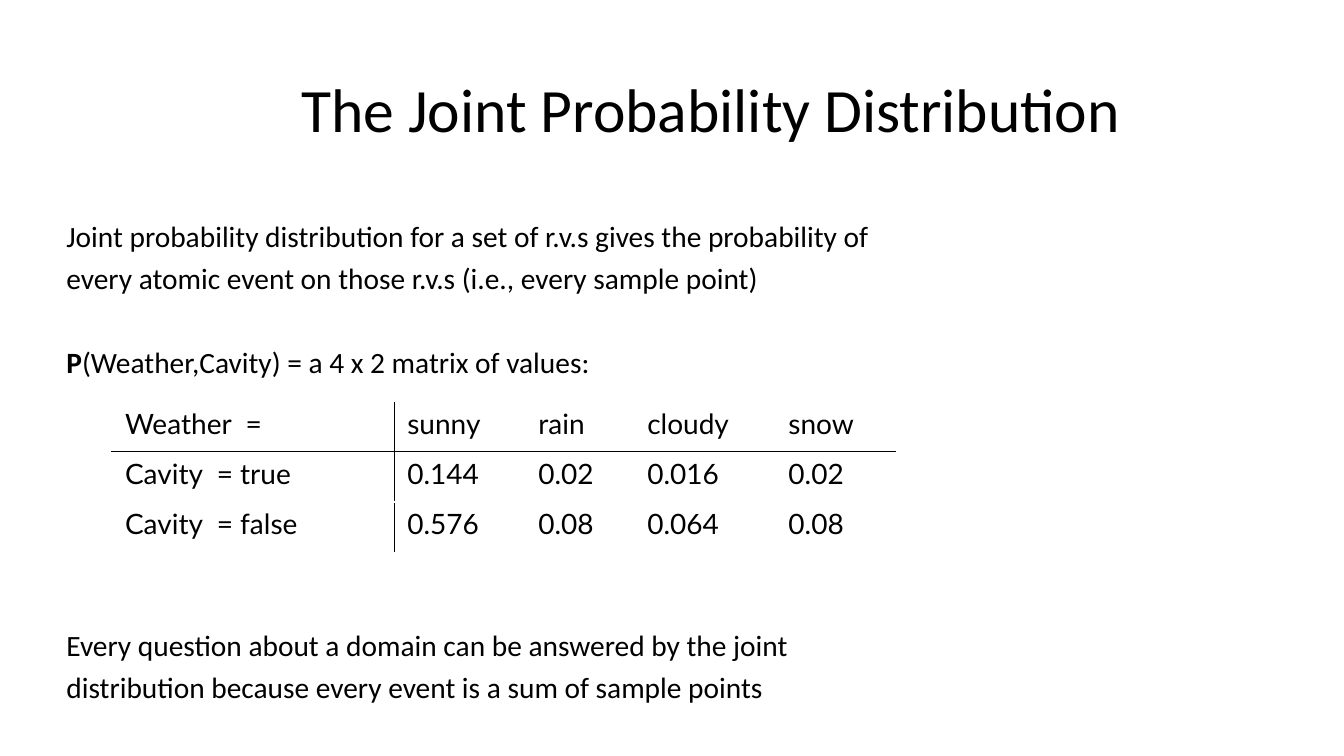
from lxml import etree
from pptx import Presentation
from pptx.dml.color import RGBColor
from pptx.enum.text import MSO_ANCHOR
from pptx.oxml.ns import qn
from pptx.util import Inches, Pt

MIDDLE = MSO_ANCHOR.MIDDLE
TOP = MSO_ANCHOR.TOP
BLACK = "000000"
COLS = [2.8, 1.3, 1.08, 1.4, 1.19]
ROWS = [0.49, 0.5, 0.5]
JOINT = [
    ["Weather  =", "sunny", "rain", "cloudy", "snow"],
    ["Cavity  = true", "0.144", "0.02", "0.016", "0.02"],
    ["Cavity  = false", "0.576", "0.08", "0.064", "0.08"],
]
INTRO = [
    "Joint probability distribution for a set of r.v.s gives the probability of",
    "every atomic event on those r.v.s (i.e., every sample point)",
]
CLOSE = [
    "Every question about a domain can be answered by the joint",
    "distribution because every event is a sum of sample points",
]


def color(code):
    return RGBColor.from_string(code)


def style(para, size, face="Calibri"):
    para.font.size = Pt(size)
    para.font.name = face
    para.font.color.rgb = color(BLACK)


def add_text(slide, box, lines, size, spacing, before=0, anchor=TOP):
    """Add one paragraph per line and return the text frame."""
    frame = slide.shapes.add_textbox(*map(Inches, box)).text_frame
    frame.word_wrap = True
    frame.vertical_anchor = anchor
    frame.text = "\n".join(lines)
    for para in frame.paragraphs:
        style(para, size)
        para.line_spacing = spacing
    for para in frame.paragraphs[1:]:
        para.space_before = Pt(before)
    return frame


def add_title(slide, box):
    add_text(slide, box, ["The Joint Probability Distribution"], 44, 0.9,
             anchor=MIDDLE)


def add_body(slide, box):
    """Place the definition at the top of the box and the conclusion at its foot."""
    left, top, width, height = box
    foot = 0.85
    frame = add_text(slide, (left, top, width, 1.7), INTRO + [""], 21, 0.8, 10)
    matrix = frame.paragraphs[-1]
    matrix.space_before = Pt(40)
    name = matrix.add_run()
    name.text = "P"
    name.font.bold = True
    matrix.add_run().text = "(Weather,Cavity) = a 4 x 2 matrix of values:"
    add_text(slide, (left, top + height - foot, width, foot), CLOSE, 21, 0.8, 10)


def add_rules(cell, sides):
    """Draw a thin line on each named side of the cell."""
    props = cell._tc.get_or_add_tcPr()
    for side in sides:
        line = etree.SubElement(props, qn(f"a:ln{side}"), w=str(Pt(1)))
        fill = etree.SubElement(line, qn("a:solidFill"))
        etree.SubElement(fill, qn("a:srgbClr"), val=BLACK)


def add_joint(slide, box):
    frame = slide.shapes.add_table(len(ROWS), len(COLS), *map(Inches, box))
    table = frame.table
    table.first_row = table.horz_banding = False
    for col, width in zip(table.columns, COLS):
        col.width = Inches(width)
    for row, height in zip(table.rows, ROWS):
        row.height = Inches(height)
    for r, values in enumerate(JOINT):
        for c, value in enumerate(values):
            cell = table.cell(r, c)
            cell.text = value
            style(cell.text_frame.paragraphs[0], 20, "Lato")
            cell.margin_left = cell.margin_right = Inches(0.13)
            edges = {"L": c == 1, "R": c == 0, "T": r == 1, "B": r == 0}
            add_rules(cell, [side for side, on in edges.items() if on])
            cell.fill.background()


def main():
    deck = Presentation()
    deck.slide_width, deck.slide_height = Inches(13.33), Inches(7.5)
    slide = deck.slides.add_slide(deck.slide_layouts[6])
    add_title(slide, (2.89, 0.28, 10, 1.67))
    add_body(slide, (0.56, 2.18, 12.31, 4.91))
    add_joint(slide, (1.11, 3.99, sum(COLS), sum(ROWS)))
    deck.save("out.pptx")


if __name__ == "__main__":
    main()
